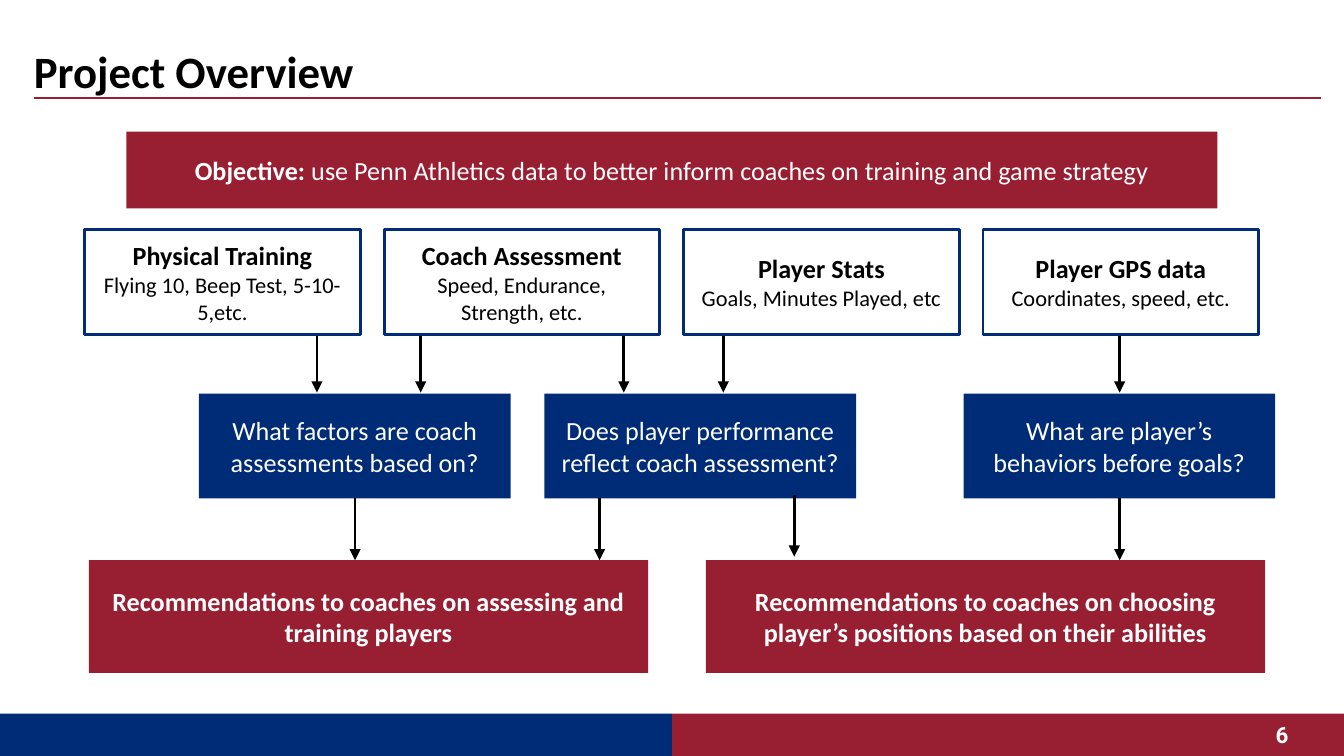
from dataclasses import dataclass

from lxml.etree import SubElement
from pptx import Presentation
from pptx.dml.color import RGBColor
from pptx.enum.shapes import MSO_CONNECTOR, MSO_SHAPE
from pptx.enum.text import MSO_ANCHOR, PP_ALIGN
from pptx.oxml.ns import qn
from pptx.util import Cm, Pt


@dataclass(frozen=True)
class Theme:
    red: RGBColor = RGBColor(0x98, 0x1E, 0x32)
    blue: RGBColor = RGBColor(0x00, 0x2C, 0x77)
    black: RGBColor = RGBColor(0, 0, 0)
    white: RGBColor = RGBColor(255, 255, 255)
    font: str = "Calibri"
    number_font: str = "Roboto"
    title_size: int = 24
    body_size: int = 14
    detail_size: int = 12
    border: float = 1.5
    rule: float = 0.75


@dataclass(frozen=True)
class Words:
    text: str
    bold: bool = False
    size: int = Theme.body_size
    font: str = Theme.font


@dataclass(frozen=True)
class Box:
    """A rectangle in centimetres with its paragraphs of runs."""
    left: float
    top: float
    width: float
    height: float
    paragraphs: tuple[tuple[Words, ...], ...] = ()
    fill: RGBColor | None = None
    border: RGBColor | None = None
    color: RGBColor = Theme.white


@dataclass(frozen=True)
class Line:
    x1: float
    y1: float
    x2: float
    y2: float
    color: RGBColor = Theme.black
    weight: float = Theme.border
    arrow: bool = True


def write_words(paragraph, words: Words, color: RGBColor) -> None:
    run = paragraph.add_run()
    run.text = words.text
    run.font.name = words.font
    run.font.size = Pt(words.size)
    run.font.bold = words.bold
    run.font.color.rgb = color


def draw_box(slide, box: Box) -> None:
    shape = slide.shapes.add_shape(
        MSO_SHAPE.RECTANGLE, Cm(box.left), Cm(box.top), Cm(box.width), Cm(box.height))
    shape.shadow.inherit = False
    if box.fill is None:
        shape.fill.background()
    else:
        shape.fill.solid()
        shape.fill.fore_color.rgb = box.fill
    if box.border is None:
        shape.line.fill.background()
    else:
        shape.line.color.rgb = box.border
        shape.line.width = Pt(Theme.border)
    frame = shape.text_frame
    frame.word_wrap = True
    frame.vertical_anchor = MSO_ANCHOR.MIDDLE
    for index, runs in enumerate(box.paragraphs):
        paragraph = frame.add_paragraph() if index else frame.paragraphs[0]
        paragraph.alignment = PP_ALIGN.CENTER
        for words in runs:
            write_words(paragraph, words, box.color)


def draw_line(slide, line: Line) -> None:
    connector = slide.shapes.add_connector(
        MSO_CONNECTOR.STRAIGHT, Cm(line.x1), Cm(line.y1), Cm(line.x2), Cm(line.y2))
    connector.line.color.rgb = line.color
    connector.line.width = Pt(line.weight)
    if line.arrow:
        SubElement(connector.line._get_or_add_ln(), qn("a:tailEnd"), type="triangle")
    SubElement(connector._element.spPr, qn("a:effectLst"))


def draw_title(slide, text: str) -> None:
    title = slide.shapes.title
    title.left, title.top, title.width, title.height = Cm(0.64), Cm(0.69), Cm(23.06), Cm(1.04)
    frame = title.text_frame
    frame.margin_left = frame.margin_right = frame.margin_top = frame.margin_bottom = 0
    frame.vertical_anchor = MSO_ANCHOR.TOP
    frame.word_wrap = True
    heading = frame.paragraphs[0]
    heading.alignment = PP_ALIGN.LEFT
    heading.line_spacing = 1.14
    write_words(heading, Words(text, True, Theme.title_size), Theme.black)


def draw_page_number(slide, number: str) -> None:
    frame = slide.shapes.add_textbox(Cm(22.86), Cm(13.59), Cm(2.13), Cm(0.61)).text_frame
    frame.word_wrap = True
    frame.vertical_anchor = MSO_ANCHOR.MIDDLE
    frame.margin_left, frame.margin_right = 0, Cm(0.64)
    paragraph = frame.paragraphs[0]
    paragraph.alignment = PP_ALIGN.RIGHT
    write_words(paragraph, Words(number, True, Theme.detail_size, Theme.number_font), Theme.white)


SOURCES = (
    ("Physical Training", "Flying 10, Beep Test, 5-10-5,etc."),
    ("Coach Assessment", "Speed, Endurance, Strength, etc."),
    ("Player Stats", "Goals, Minutes Played, etc"),
    ("Player GPS data", "Coordinates, speed, etc."),
)
QUESTIONS = (
    (3.76, "What factors are coach assessments based on?"),
    (10.29, "Does player performance reflect coach assessment?"),
    (18.21, "What are player’s behaviors before goals?"),
)
RECOMMENDATIONS = (
    (1.68, "Recommendations to coaches on assessing and training players"),
    (13.34, "Recommendations to coaches on choosing player’s positions based on their abilities"),
)
SOURCE_ARROWS = (5.99, 7.95, 11.79, 13.67, 21.16)
QUESTION_ARROWS = ((6.71, 9.42), (11.33, 9.42), (15.01, 9.35), (21.16, 9.42))


def main() -> None:
    presentation = Presentation()
    presentation.slide_width, presentation.slide_height = Cm(25.4), Cm(14.29)
    slide = presentation.slides.add_slide(presentation.slide_layouts[5])

    # Footer bands, title and rule
    for left, color in ((12.7, Theme.red), (0, Theme.blue)):
        draw_box(slide, Box(left, 13.49, 12.7, 0.8, fill=color))
    draw_line(slide, Line(0.64, 1.85, 24.97, 1.85, Theme.red, Theme.rule, arrow=False))
    draw_title(slide, "Project Overview")

    # Objective
    objective = (
        Words("Objective:", bold=True),
        Words(" use Penn Athletics data to better inform coaches on training and game strategy"),
    )
    draw_box(slide, Box(2.39, 2.49, 20.62, 1.45, (objective,), Theme.red))

    # Data sources
    for column, (name, detail) in enumerate(SOURCES):
        paragraphs = ((Words(name, bold=True),), (Words(detail, size=Theme.detail_size),))
        draw_box(slide, Box(1.6 + 5.66 * column, 4.34, 5.21, 1.98, paragraphs,
                            border=Theme.blue, color=Theme.black))

    # Questions, fed by the sources
    for left, question in QUESTIONS:
        draw_box(slide, Box(left, 7.44, 5.89, 1.98, ((Words(question),),), Theme.blue))
    for x in SOURCE_ARROWS:
        draw_line(slide, Line(x, 6.35, x, 7.42))

    # Recommendations, fed by the questions
    for left, advice in RECOMMENDATIONS:
        draw_box(slide, Box(left, 10.59, 10.57, 2.13, ((Words(advice, bold=True),),), Theme.red))
    for x, start in QUESTION_ARROWS:
        draw_line(slide, Line(x, start, x, start + 1.17))

    draw_page_number(slide, "6")
    presentation.save("out.pptx")


if __name__ == "__main__":
    main()
